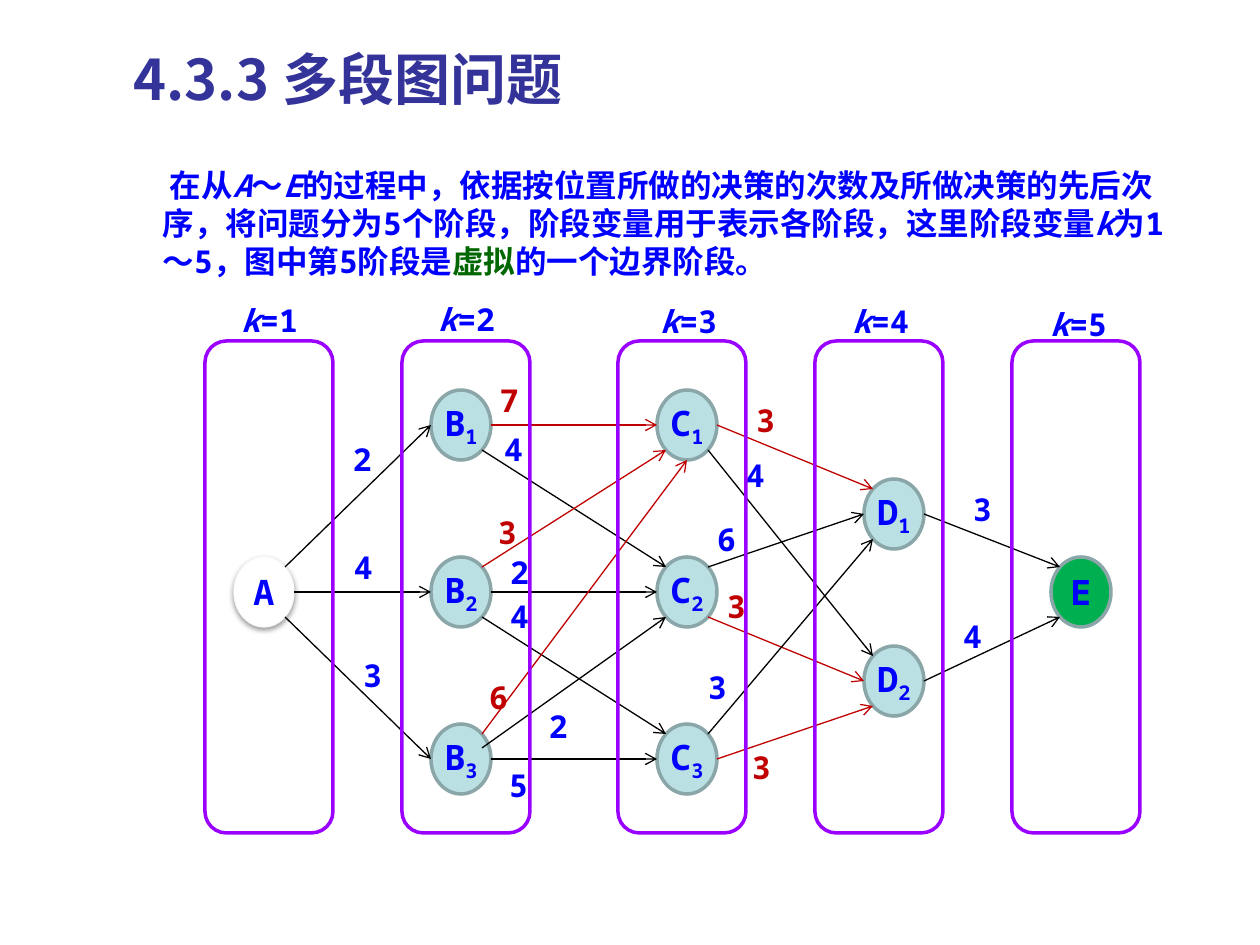
from dataclasses import dataclass

from lxml import etree
from pptx import Presentation
from pptx.dml.color import RGBColor
from pptx.enum.shapes import MSO_CONNECTOR, MSO_SHAPE
from pptx.enum.text import MSO_ANCHOR, MSO_AUTO_SIZE, PP_ALIGN
from pptx.oxml.ns import qn
from pptx.util import Pt

OVAL, ROUND = MSO_SHAPE.OVAL, MSO_SHAPE.ROUNDED_RECTANGLE
LINE = MSO_CONNECTOR.STRAIGHT
TOP, MIDDLE = MSO_ANCHOR.TOP, MSO_ANCHOR.MIDDLE
LEFT, CENTER = PP_ALIGN.LEFT, PP_ALIGN.CENTER
FIXED = MSO_AUTO_SIZE.NONE

WHITE = RGBColor(0xFF, 0xFF, 0xFF)
BLACK = RGBColor(0, 0, 0)
BLUE = RGBColor(0, 0, 0xFF)
RED = RGBColor(0xC0, 0, 0)
GREEN = RGBColor(0, 0xB0, 0x50)
DARK = RGBColor(0, 0x66, 0)
NAVY = RGBColor(0x33, 0x33, 0x99)
PALE = RGBColor(0xBB, 0xE0, 0xE3)
GREY = RGBColor(0x8A, 0xA6, 0xA8)
MIST = RGBColor(0xF9, 0xF9, 0xF9)
VIOLET = RGBColor(0x99, 0, 0xFF)

MONO, SANS = "Noto Sans Mono", "Noto Sans CJK SC"
SCALE = 914400 / 126
WIDE, HIGH = 60, 70
PORTS = {"e": (30, 0), "w": (-30, 0), "s": (0, 35), "ne": (21, -25),
         "nw": (-21, -25), "se": (21, 25), "sw": (-21, 25), "ene": (21, -11)}


@dataclass
class Node:
    name: str
    x: int
    y: int
    fill: RGBColor = PALE
    edge: RGBColor = GREY
    width: float = 2


@dataclass
class Edge:
    start: str
    out: str
    end: str
    into: str
    cost: int
    x: int
    y: int
    color: RGBColor = BLACK


@dataclass
class Stage:
    x: int
    text_x: int
    text_y: int


NODES = [
    Node("A", 264, 592, WHITE, MIST, 0.75),
    *[Node(f"{row}{i + 1}", x, y + 167 * i)
      for row, x, y, count in (("B", 461, 425, 3), ("C", 687, 425, 3), ("D", 894, 514, 2))
      for i in range(count)],
    Node("E", 1081, 592, GREEN),
]

EDGES = [
    Edge("A", "ne", "B1", "w", 2, 353, 440),
    Edge("A", "e", "B2", "w", 4, 354, 548),
    Edge("A", "se", "B3", "w", 3, 363, 656),
    Edge("B1", "e", "C1", "w", 7, 500, 381, RED),
    Edge("B1", "se", "C2", "nw", 4, 504, 430),
    Edge("B2", "ne", "C1", "sw", 3, 498, 513, RED),
    Edge("B2", "e", "C2", "w", 2, 510, 553),
    Edge("B2", "se", "C3", "nw", 4, 510, 597),
    Edge("B3", "ne", "C1", "s", 6, 489, 678, RED),
    Edge("B3", "ene", "C2", "sw", 2, 549, 707),
    Edge("B3", "e", "C3", "w", 5, 509, 766),
    Edge("C1", "e", "D1", "nw", 3, 756, 401, RED),
    Edge("C1", "se", "D2", "nw", 4, 746, 456),
    Edge("C2", "ne", "D1", "w", 6, 717, 520),
    Edge("C2", "se", "D2", "w", 3, 727, 587, RED),
    Edge("C3", "ne", "D1", "sw", 3, 708, 668),
    Edge("C3", "e", "D2", "sw", 3, 752, 748, RED),
    Edge("D1", "e", "E", "nw", 3, 973, 490),
    Edge("D2", "e", "E", "sw", 4, 963, 617),
]

STAGES = [Stage(205, 229, 295), Stage(402, 426, 294), Stage(618, 648, 296),
          Stage(815, 840, 296), Stage(1012, 1038, 299)]

BODY = [(" 在从", ""), ("A", "i"), ("～", ""), ("E", "i"),
        ("的过程中，依据按位置所做的决策的次数及所做决策的先后次序，"
         "将问题分为5个阶段，阶段变量用于表示各阶段，这里阶段变量", ""),
        ("k", "i"), ("为1～5，图中第5阶段是", ""), ("虚拟", "g"), ("的一个边界阶段。", "")]


def px(*sizes: int) -> list[int]:
    return [round(size * SCALE) for size in sizes]


def style(para, size: int, color: RGBColor, face: str = MONO, align=LEFT) -> None:
    para.alignment = align
    font = para.font
    font.size, font.bold, font.name = Pt(size), True, face
    font.color.rgb = color
    east = etree.SubElement(para._p.pPr.find(qn("a:defRPr")), qn("a:ea"))
    east.set("typeface", SANS)


def place(shape, x: int, y: int, w: int, h: int) -> None:
    shape.left, shape.top, shape.width, shape.height = px(x, y, w, h)


def shade(shape) -> None:
    glow = etree.SubElement(shape._element.spPr.find(qn("a:effectLst")), qn("a:outerShdw"),
                            blurRad=str(Pt(3.1)), dist=str(Pt(1.6)), dir="5400000", rotWithShape="0")
    tint = etree.SubElement(glow, qn("a:srgbClr"), val="000000")
    etree.SubElement(tint, qn("a:alpha"), val="38000")


def draw_node(slide, node: Node) -> None:
    shape = slide.shapes.add_shape(
        OVAL, *px(node.x - WIDE // 2, node.y - HIGH // 2, WIDE, HIGH))
    shape.shadow.inherit = False
    shape.fill.solid()
    shape.fill.fore_color.rgb = node.fill
    shape.line.color.rgb = node.edge
    shape.line.width = Pt(node.width)
    if node.name == "A":
        shade(shape)
    frame = shape.text_frame
    frame.margin_left = frame.margin_right = 0
    frame.vertical_anchor = MIDDLE
    para = frame.paragraphs[0]
    style(para, 20, BLUE, align=CENTER)
    para.add_run().text = node.name[0]
    if node.name[1:]:
        sub = para.add_run()
        sub.text = node.name[1:]
        sub.font._element.set("baseline", "-25000")


def port(node: Node, side: str) -> list[int]:
    dx, dy = PORTS[side]
    return px(node.x + dx, node.y + dy)


def draw_edge(slide, edge: Edge, nodes: dict[str, Node]) -> None:
    line = slide.shapes.add_connector(
        LINE, *port(nodes[edge.start], edge.out), *port(nodes[edge.end], edge.into))
    line.line.color.rgb = edge.color
    line.line.width = Pt(0.75)
    etree.SubElement(line.line._get_or_add_ln(), qn("a:tailEnd"), type="arrow")
    etree.SubElement(line._element.spPr, qn("a:effectLst"))


def draw_cost(slide, edge: Edge) -> None:
    frame = slide.shapes.add_textbox(*px(edge.x, edge.y, 29, 38)).text_frame
    frame.word_wrap = True
    frame.margin_left = frame.margin_right = frame.margin_top = frame.margin_bottom = 0
    para = frame.paragraphs[0]
    style(para, 18, RED if edge.color == RED else BLUE)
    para.add_run().text = str(edge.cost)


def draw_stage(slide, stage: Stage, step: int) -> None:
    group = slide.shapes.add_group_shape()
    box = group.shapes.add_shape(ROUND, *px(stage.x, 341, 128, 492))
    box.shadow.inherit = False
    box.fill.background()
    box.line.color.rgb = VIOLET
    box.line.width = Pt(2)
    frame = group.shapes.add_textbox(*px(stage.text_x, stage.text_y, 88, 50)).text_frame
    frame.word_wrap = True
    para = frame.paragraphs[0]
    style(para, 18, BLUE)
    name = para.add_run()
    name.text = "k"
    name.font.italic = True
    para.add_run().text = f"={step}"


def write_title(slide) -> None:
    title = slide.shapes.title
    place(title, 121, 38, 1085, 127)
    frame = title.text_frame
    frame.vertical_anchor, frame.auto_size = TOP, FIXED
    para = frame.paragraphs[0]
    style(para, 32, NAVY, SANS)
    para.add_run().text = "4.3.3 多段图问题"


def write_body(slide) -> None:
    body = slide.placeholders[1]
    place(body, 150, 160, 1033, 127)
    frame = body.text_frame
    frame.auto_size = FIXED
    para = frame.paragraphs[0]
    para.space_before = Pt(0)
    props = para._p.get_or_add_pPr()
    props.set("marL", "0")
    props.set("indent", "0")
    etree.SubElement(props, qn("a:buNone"))
    style(para, 18, BLUE)
    for text, mark in BODY:
        run = para.add_run()
        run.text = text
        if mark == "i":
            run.font.italic = True
        elif mark == "g":
            run.font.color.rgb = DARK


def main() -> None:
    deck = Presentation()
    deck.slide_width, deck.slide_height = px(1260, 945)
    slide = deck.slides.add_slide(deck.slide_layouts[1])
    write_title(slide)
    write_body(slide)
    nodes = {node.name: node for node in NODES}
    for node in NODES:
        draw_node(slide, node)
    for edge in EDGES:
        draw_edge(slide, edge, nodes)
    for edge in EDGES:
        draw_cost(slide, edge)
    for step, stage in enumerate(STAGES, 1):
        draw_stage(slide, stage, step)
    deck.save("out.pptx")


if __name__ == "__main__":
    main()
